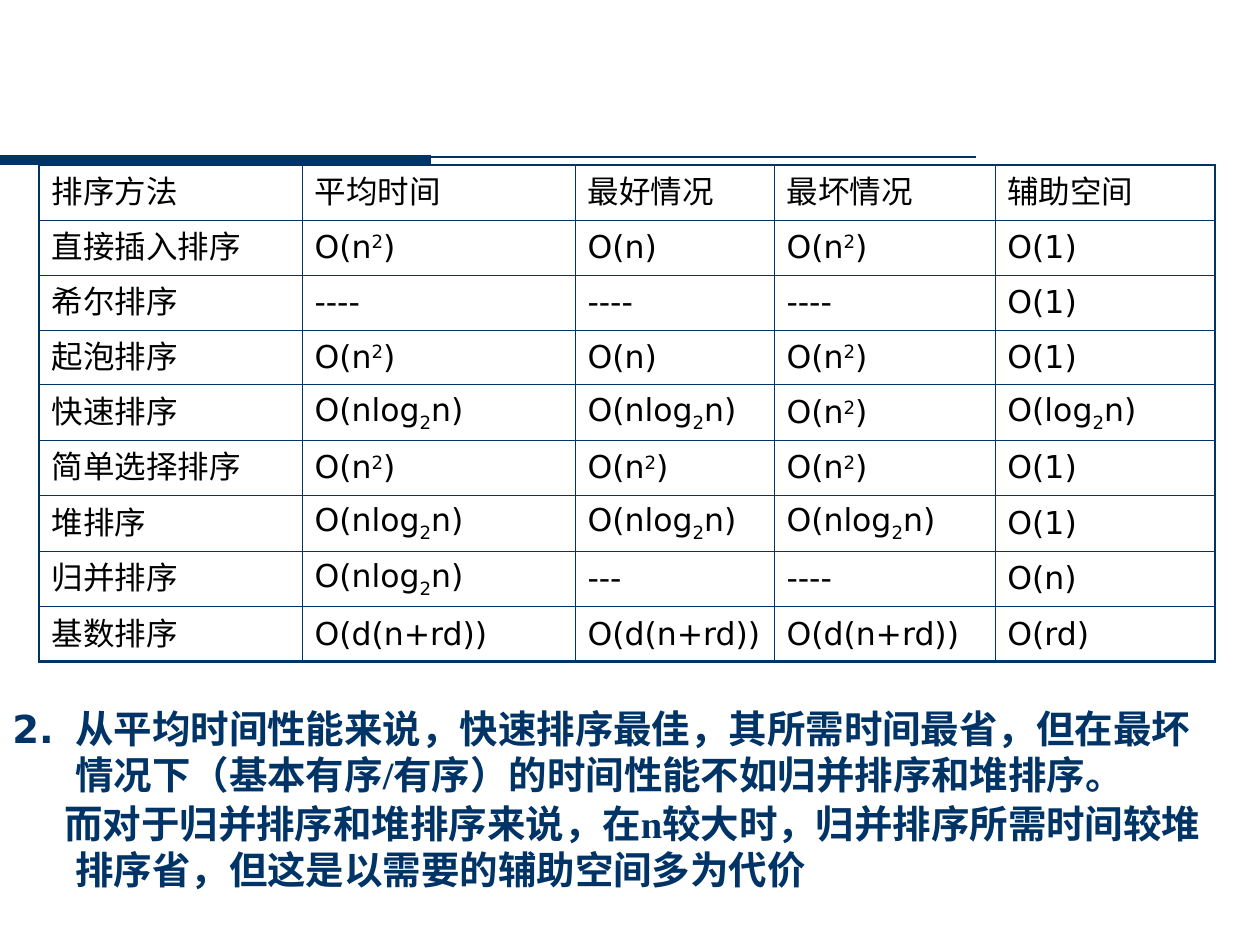
import dataclasses

import lxml.etree
import pptx
import pptx.dml.color
import pptx.enum.lang
import pptx.enum.shapes
import pptx.enum.text
import pptx.oxml.ns
import pptx.util

PX = 914400 // 126


@dataclasses.dataclass
class Theme:
    navy: str = "003366"
    black: str = "000000"
    table_font: str = "DejaVu Sans"
    body_font: str = "Times New Roman"
    table_size: int = 18
    body_size: int = 22


theme = Theme()
qn = pptx.oxml.ns.qn


def sub(parent, tag, **attrs):
    """Append an XML child with the given attributes."""
    child = lxml.etree.SubElement(parent, qn(tag))
    for name, value in attrs.items():
        child.set(name, str(value))
    return child


def add_run(p, text, font, size, color, bold=False):
    r = p.add_run()
    r.text = text
    r.font.name = font
    r.font.size = pptx.util.Pt(size)
    r.font.bold = bold
    r.font.color.rgb = pptx.dml.color.RGBColor.from_string(color)
    r.font.language_id = pptx.enum.lang.MSO_LANGUAGE_ID.SIMPLIFIED_CHINESE
    sub(r.font._element, "a:ea", typeface=theme.table_font)
    return r


prs = pptx.Presentation()
prs.slide_width = 1260 * PX
prs.slide_height = 945 * PX
s = prs.slides.add_slide(prs.slide_layouts[6])

# Header rules: x end, y, weight
for x_end, y, weight in [(976, 157, 1.5), (431, 160, 6)]:
    rule = s.shapes.add_connector(
        pptx.enum.shapes.MSO_CONNECTOR.STRAIGHT, 0, y * PX, x_end * PX, y * PX)
    rule.line.color.rgb = pptx.dml.color.RGBColor.from_string(theme.navy)
    rule.line.width = pptx.util.Pt(weight)
    sub(rule._element.spPr, "a:effectLst")

# Conclusion: text, first-line indent in px, number
conclusion = [
    ("从平均时间性能来说，快速排序最佳，其所需时间最省，但在最坏情况下（基本有序/有序）"
     "的时间性能不如归并排序和堆排序。", -63, 2),
    ("而对于归并排序和堆排序来说，在n较大时，归并排序所需时间较堆排序省，"
     "但这是以需要的辅助空间多为代价", -11, None),
]
tf = s.shapes.add_textbox(0, 699 * PX, 1229 * PX, 200 * PX).text_frame
tf.word_wrap = True
for i, (text, indent, number) in enumerate(conclusion):
    p = tf.add_paragraph() if i else tf.paragraphs[0]
    pPr = p._p.get_or_add_pPr()
    pPr.set("marL", str(63 * PX))
    pPr.set("indent", str(indent * PX))
    if number:
        sub(sub(pPr, "a:buClr"), "a:srgbClr", val=theme.navy)
        sub(pPr, "a:buFont", typeface=theme.table_font)
        sub(pPr, "a:buAutoNum", type="arabicPeriod", startAt=number)
    else:
        sub(pPr, "a:buNone")
        p.space_before = pptx.util.Pt(1.4)
    add_run(p, text, theme.body_font, theme.body_size, theme.navy, bold=True)

# Complexity table: "^" marks a superscript 2, "_" a subscript 2
SQUARE, NLOG = "O(n^)", "O(nlog_n)"
RADIX = "O(d(n+rd))"
rows = [
    ["排序方法", "平均时间", "最好情况", "最坏情况", "辅助空间"],
    ["直接插入排序", SQUARE, "O(n)", SQUARE, "O(1)"],
    ["希尔排序", "----", "----", "----", "O(1)"],
    ["起泡排序", SQUARE, "O(n)", SQUARE, "O(1)"],
    ["快速排序", NLOG, NLOG, SQUARE, "O(log_n)"],
    ["简单选择排序", SQUARE, SQUARE, SQUARE, "O(1)"],
    ["堆排序", NLOG, NLOG, NLOG, "O(1)"],
    ["归并排序", NLOG, "---", "----", "O(n)"],
    ["基数排序", RADIX, RADIX, RADIX, "O(rd)"],
    [""] * 5,
]
baselines = {"^": 30000, "_": -25000}
col_widths = [263, 273, 199, 221, 220]
THIN, EDGE, BOTTOM = 0.45, 1.08, 1.47
last = len(rows) - 1

frame = s.shapes.add_table(len(rows), len(col_widths), 39 * PX, 165 * PX,
                           sum(col_widths) * PX, 55 * len(rows) * PX)
table = frame.table
table.first_row = table.horz_banding = False
for column, width in zip(table.columns, col_widths):
    column.width = width * PX
for row in table.rows:
    row.height = 55 * PX

for i, row in enumerate(rows):
    for j, text in enumerate(row):
        cell = table.cell(i, j)
        cell.vertical_anchor = pptx.enum.text.MSO_ANCHOR.MIDDLE
        if i == last:  # the closing row only carries the bottom rule
            borders = {"L": 0, "R": 0, "T": BOTTOM, "B": 0}
        else:
            borders = {
                "L": EDGE if j == 0 else THIN,
                "R": EDGE if j == len(row) - 1 else THIN,
                "T": EDGE if i == 0 else THIN,
                "B": BOTTOM if i == last - 1 else THIN,
            }
        tcPr = cell._tc.get_or_add_tcPr()
        for side, weight in borders.items():
            ln = sub(tcPr, "a:ln" + side, w=pptx.util.Pt(weight))
            if weight:
                sub(sub(ln, "a:solidFill"), "a:srgbClr", val=theme.navy)
            else:
                sub(ln, "a:noFill")
        cell.fill.background()

        p = cell.text_frame.paragraphs[0]
        parts = text.replace("^", "|^|").replace("_", "|_|").split("|")
        for part in filter(None, parts):
            r = add_run(p, "2" if part in baselines else part,
                        theme.table_font, theme.table_size, theme.black)
            if part in baselines:
                r.font._element.set("baseline", str(baselines[part]))

prs.save("out.pptx")
